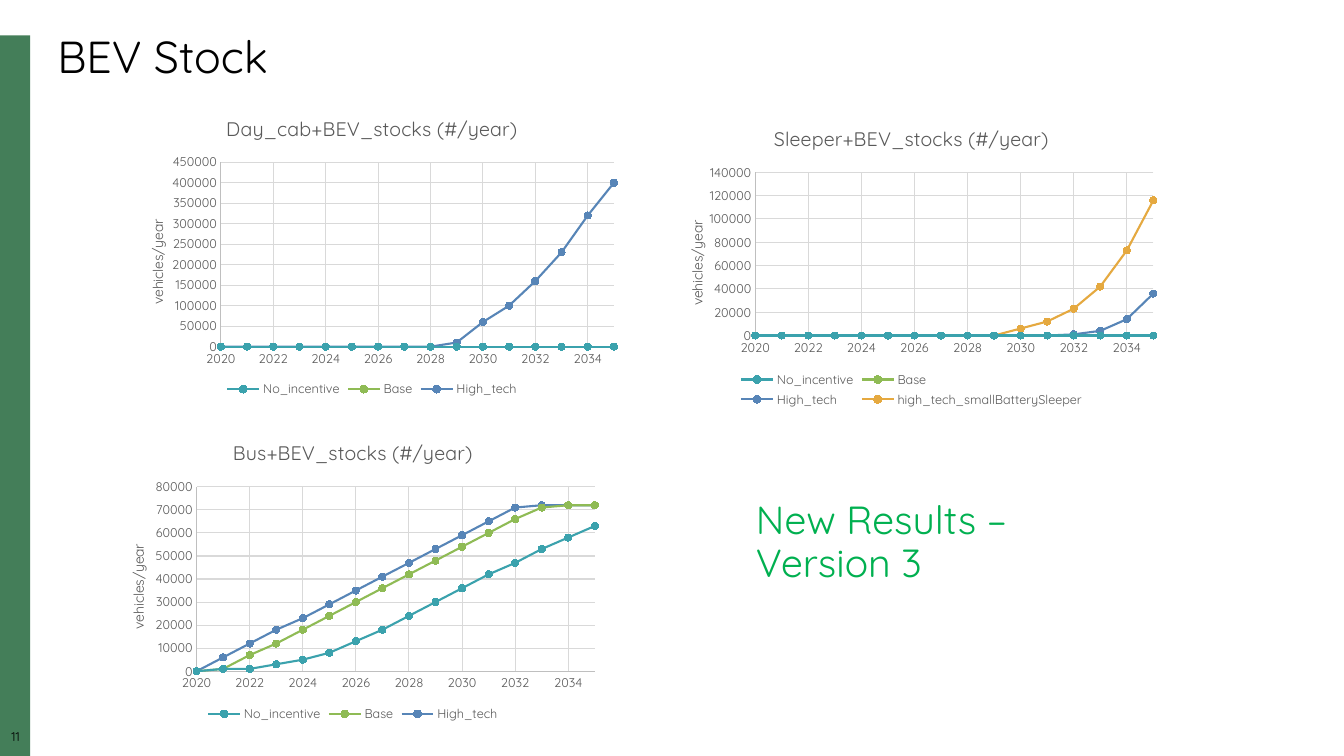
from typing import NamedTuple

from lxml import etree
from pptx import Presentation
from pptx.chart.data import XyChartData
from pptx.dml.color import RGBColor
from pptx.enum.chart import XL_CHART_TYPE, XL_LEGEND_POSITION, XL_MARKER_STYLE, XL_TICK_MARK
from pptx.enum.shapes import MSO_SHAPE
from pptx.enum.text import PP_ALIGN
from pptx.oxml.ns import qn
from pptx.util import Inches, Pt

SCATTER = XL_CHART_TYPE.XY_SCATTER_LINES
LEGEND_BOTTOM = XL_LEGEND_POSITION.BOTTOM
CIRCLE = XL_MARKER_STYLE.CIRCLE
NO_TICK = XL_TICK_MARK.NONE
RECTANGLE = MSO_SHAPE.RECTANGLE
LEFT, CENTER = PP_ALIGN.LEFT, PP_ALIGN.CENTER

FONT = "Quicksand"
COLORS = {
    "sidebar": "447E59", "text": "000000", "note": "00B050",
    "label": "595959", "axis": "BFBFBF", "grid": "D9D9D9",
    "No_incentive": "3BA2AD", "Base": "8FBB55", "High_tech": "5785B7",
    "high_tech_smallBatterySleeper": "E5A940",
}
YEARS = range(2020, 2036)
CHART_WIDTH, CHART_HEIGHT = 5, 3


class StockChart(NamedTuple):
    title: str
    left: float
    top: float
    axis_max: int
    axis_step: int
    plot_area: tuple[float, float, float, float]  # fractions of the chart
    axis_title_at: tuple[float, float]
    thousands: dict[str, list[int]]


NONE_SOLD = [0] * len(YEARS)
STOCK_CHARTS = [
    StockChart(
        "Day_cab+BEV_stocks (#/year)", 1.19, 0.98, 450000, 50000,
        (0.2, 0.21, 0.78, 0.61), (0.05, 0.39),
        {
            "No_incentive": NONE_SOLD,
            "Base": NONE_SOLD,
            "High_tech": [0] * 9 + [10, 60, 100, 160, 230, 320, 400],
        },
    ),
    StockChart(
        "Sleeper+BEV_stocks (#/year)", 6.54, 1.08, 140000, 20000,
        (0.19, 0.21, 0.79, 0.54), (0.05, 0.36),
        {
            "No_incentive": NONE_SOLD,
            "Base": NONE_SOLD,
            "High_tech": [0] * 12 + [1, 4, 14, 36],
            "high_tech_smallBatterySleeper": [0] * 10 + [6, 12, 23, 42, 73, 116],
        },
    ),
    StockChart(
        "Bus+BEV_stocks (#/year)", 1, 4.2, 80000, 10000,
        (0.19, 0.21, 0.79, 0.61), (0.05, 0.39),
        {
            "No_incentive": [0, 1, 1, 3, 5, 8, 13, 18, 24, 30, 36, 42, 47, 53, 58, 63],
            "Base": [0, 1, 7, 12, 18, 24, 30, 36, 42, 48, 54, 60, 66, 71, 72, 72],
            "High_tech": [0, 6, 12, 18, 23, 29, 35, 41, 47, 53, 59, 65, 71, 72, 72, 72],
        },
    ),
]


def rgb(name: str) -> RGBColor:
    return RGBColor.from_string(COLORS[name])


def style_font(font, size: float, color: str) -> None:
    font.name = FONT
    font.size = Pt(size)
    font.bold = False
    font.color.rgb = rgb(color)


def style_line(line, color: str, width: float) -> None:
    line.color.rgb = rgb(color)
    line.width = Pt(width)


def add_text(page, text: str, left: float, top: float, width: float, height: float, *,
             size: float, color: str = "text", align=LEFT, inset: bool = True) -> None:
    box = page.shapes.add_textbox(Inches(left), Inches(top), Inches(width), Inches(height))
    frame = box.text_frame
    frame.word_wrap = True
    if not inset:
        frame.margin_left = frame.margin_right = frame.margin_top = frame.margin_bottom = 0
    para = frame.paragraphs[0]
    para.alignment = align
    para.line_spacing = 0.9
    span = para.add_run()
    span.text = text
    style_font(span.font, size, color)


def set_layout(parent, index: int, place: tuple[float, ...], inner: bool = False) -> None:
    """Fix the place of a chart part, in fractions of the chart."""
    for old in parent.findall(qn("c:layout")):
        parent.remove(old)
    layout = etree.Element(qn("c:layout"))
    parent.insert(index, layout)
    manual = etree.SubElement(layout, qn("c:manualLayout"))
    settings = [("layoutTarget", "inner")] if inner else []
    settings += [("xMode", "edge"), ("yMode", "edge")]
    settings += [(key, str(value)) for key, value in zip("xywh", place)]
    for key, value in settings:
        etree.SubElement(manual, qn(f"c:{key}")).set("val", value)


def set_title(owner, text: str, size: float):
    """Title a chart or an axis."""
    owner.has_title = True
    title = owner.chart_title if hasattr(owner, "chart_title") else owner.axis_title
    span = title.text_frame.paragraphs[0].add_run()
    span.text = text
    style_font(span.font, size, "label")
    return title


def style_axis(axis, low: int, high: int, step: int) -> None:
    axis.minimum_scale, axis.maximum_scale, axis.major_unit = low, high, step
    axis.major_tick_mark = axis.minor_tick_mark = NO_TICK
    axis.has_major_gridlines = True
    style_line(axis.major_gridlines.format.line, "grid", 0.75)
    style_line(axis.format.line, "axis", 0.75)
    style_font(axis.tick_labels.font, 9, "label")
    axis.tick_labels.number_format = "General"
    axis.tick_labels.number_format_is_linked = False


def add_stock_chart(page, stock: StockChart) -> None:
    data = XyChartData()
    for name, values in stock.thousands.items():
        series = data.add_series(name)
        for year, value in zip(YEARS, values):
            series.add_data_point(year, value * 1000)
    chart = page.shapes.add_chart(
        SCATTER, Inches(stock.left), Inches(stock.top),
        Inches(CHART_WIDTH), Inches(CHART_HEIGHT), data).chart
    style_font(chart.font, 10, "text")
    set_title(chart, stock.title, 14)
    chart.chart_title.include_in_layout = False

    # Axes and plot area
    style_axis(chart.category_axis, YEARS[0], YEARS[-1], 2)
    style_axis(chart.value_axis, 0, stock.axis_max, stock.axis_step)
    axis_title = set_title(chart.value_axis, "vehicles/year", 10)
    direction = axis_title._element.find(".//" + qn("a:bodyPr"))
    direction.set("rot", "-5400000")
    direction.set("vert", "horz")
    set_layout(axis_title._element, 1, stock.axis_title_at)
    set_layout(chart._chartSpace.find(".//" + qn("c:plotArea")), 0, stock.plot_area, inner=True)

    # Legend
    chart.has_legend = True
    chart.legend.position = LEGEND_BOTTOM
    chart.legend.include_in_layout = False
    style_font(chart.legend.font, 9, "label")

    # Series
    plot = chart.plots[0]
    plot.vary_by_categories = False
    for series in plot.series:
        style_line(series.format.line, series.name, 1.5)
        marker = series.marker
        marker.style = CIRCLE
        marker.size = 5
        marker.format.fill.solid()
        marker.format.fill.fore_color.rgb = rgb(series.name)
        style_line(marker.format.line, series.name, 0.75)


def main() -> None:
    deck = Presentation()
    deck.slide_width, deck.slide_height = Inches(13.33), Inches(7.5)
    page = deck.slides.add_slide(deck.slide_layouts[6])

    # Sidebar with page number
    sidebar = page.shapes.add_shape(RECTANGLE, 0, Inches(0.35), Inches(0.3), Inches(7.15))
    sidebar.shadow.inherit = False
    sidebar.fill.solid()
    sidebar.fill.fore_color.rgb = rgb("sidebar")
    sidebar.line.fill.background()
    add_text(page, "11", 0, 7.25, 0.31, 0.17, size=9, align=CENTER, inset=False)

    # Title, charts and note
    add_text(page, "BEV Stock", 0.47, 0.3, 12.5, 0.59, size=32)
    for stock in STOCK_CHARTS:
        add_stock_chart(page, stock)
    add_text(page, "New Results – Version 3", 7.4, 4.92, 4.06, 0.95, size=28, color="note")

    deck.save("out.pptx")


if __name__ == "__main__":
    main()
